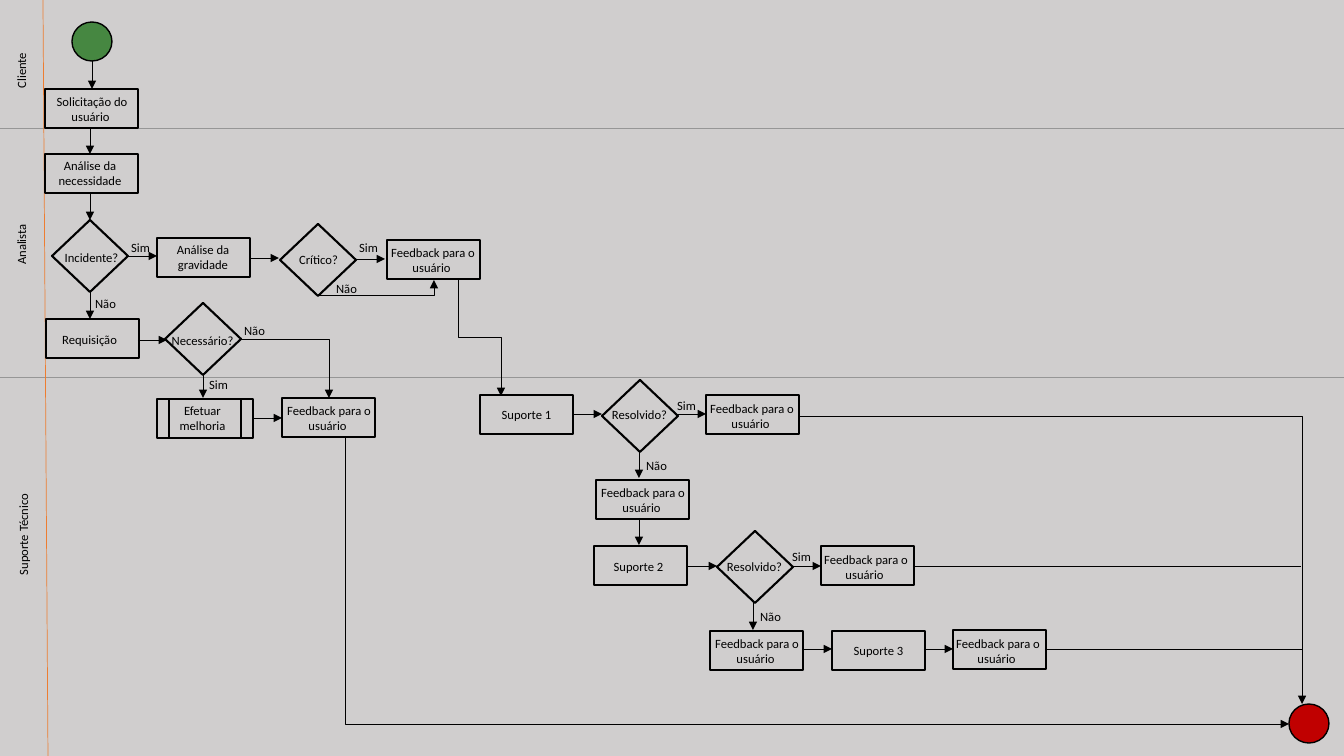
"""Build a support-request flowchart with three swimlanes."""
from lxml.etree import SubElement
from pptx import Presentation
from pptx.dml.color import RGBColor
from pptx.enum.shapes import MSO_CONNECTOR, MSO_SHAPE
from pptx.enum.text import MSO_AUTO_SIZE, PP_ALIGN
from pptx.oxml.ns import qn
from pptx.util import Pt

PIXEL = 9071.43
COLORS = {
    "background": "D0CECE", "ink": "000000", "start": "468741",
    "end": "C00000", "lane": "969696", "margin": "ED7D31",
}
FEEDBACK = "Feedback para o usuário "


def add_text(words, left, top, width=101, height=25, rotation=0):
    box = page.shapes.add_textbox(*[round(n * PIXEL) for n in (left, top, width, height)])
    box.rotation = rotation
    frame = box.text_frame
    frame.word_wrap = True
    frame.auto_size = MSO_AUTO_SIZE.SHAPE_TO_FIT_TEXT
    para = frame.paragraphs[0]
    para.alignment = PP_ALIGN.CENTER
    span = para.add_run()
    span.text = words
    span.font.name = "Calibri"
    span.font.size = Pt(9)
    span.font.color.rgb = RGBColor.from_string(COLORS["ink"])


def add_line(points, weight=0.5, color="ink", arrow=True, kind=MSO_CONNECTOR.STRAIGHT):
    line = page.shapes.add_connector(kind, *[round(n * PIXEL) for n in points])
    line.line.width = Pt(weight)
    line.line.color.rgb = RGBColor.from_string(COLORS[color])
    if arrow:
        SubElement(line.line._get_or_add_ln(), qn("a:tailEnd"), type="triangle")
    SubElement(line.element.spPr, qn("a:effectLst"))
    return line


deck = Presentation()
deck.slide_width = round(1344 * PIXEL)
deck.slide_height = round(756 * PIXEL)
page = deck.slides.add_slide(deck.slide_layouts[6])
page.background.fill.solid()
page.background.fill.fore_color.rgb = RGBColor.from_string(COLORS["background"])

for y in (128, 377):
    add_line((0, y, 1344, y), color="lane", arrow=False)
add_line((43, 0, 48, 756), color="margin", arrow=False)
for lane, left, top in (("Cliente", -34, 58), ("Analista", -34, 232), ("Suporte Técnico", -32, 522)):
    add_text(lane, left, top, 110, rotation=270)

steps = [
    (45, 89), (45, 154), (46, 319), (157, 238), (387, 240), (282, 398), (480, 395),
    (706, 395), (596, 480), (594, 546), (821, 546), (710, 631), (832, 631), (953, 630),
]
decisions = [(52, 220), (280, 224), (165, 303), (602, 380), (717, 531)]
outlines = [
    (MSO_SHAPE.RECTANGLE, steps, 93, 39, None, 1.5),
    (MSO_SHAPE.DIAMOND, decisions, 76, 72, None, 1.5),
    (MSO_SHAPE.FLOWCHART_PREDEFINED_PROCESS, [(157, 399)], 96, 39, None, 1.5),
    (MSO_SHAPE.OVAL, [(72, 22)], 40, 39, "start", 1),
    (MSO_SHAPE.OVAL, [(1289, 704)], 40, 39, "end", 1),
]
for kind, corners, width, height, color, weight in outlines:
    for left, top in corners:
        node = page.shapes.add_shape(kind, *[round(n * PIXEL) for n in (left, top, width, height)])
        node.shadow.inherit = False
        node.line.width = Pt(weight)
        node.line.color.rgb = RGBColor.from_string(COLORS["ink"])
        if color:
            node.fill.solid()
            node.fill.fore_color.rgb = RGBColor.from_string(COLORS[color])
        else:
            node.fill.background()

two_line_texts = {
    "Solicitação do usuário ": [(37, 89)],
    "Análise da necessidade": [(35, 153)],
    "Análise da gravidade": [(148, 237)],
    FEEDBACK: [(378, 240), (274, 398), (697, 396), (588, 480), (811, 547), (702, 631), (943, 631)],
}
for words, corners in two_line_texts.items():
    for left, top in corners:
        add_text(words, left, top, 110, 40)
add_text("Efetuar melhoria", 159, 398, 87, 40)
add_text("Requisição ", 36, 327, 110)

one_line_texts = {
    "Suporte 1": [(476, 402)],
    "Suporte 2": [(588, 554)],
    "Suporte 3": [(828, 638)],
    "Incidente?": [(41, 245)],
    "Crítico?": [(268, 247)],
    "Necessário?": [(152, 328)],
    "Resolvido?": [(589, 402), (704, 554)],
    "Sim": [(90, 235), (318, 235), (168, 372), (636, 393), (751, 544)],
    "Não": [(55, 291), (296, 276), (204, 318), (606, 453), (720, 604)],
}
for words, corners in one_line_texts.items():
    for left, top in corners:
        add_text(words, left, top)

across = [
    (128, 157, 256), (250, 279, 258), (254, 282, 418), (356, 385, 259),
    (573, 602, 414), (677, 706, 414), (687, 717, 566), (792, 821, 566),
    (803, 832, 649), (924, 953, 649), (138, 167, 340),
]
for start, end, y in across:
    add_line((start, y, end, y), 0.25)
down = [
    (92, 61, 89), (90, 128, 154), (90, 194, 220), (90, 292, 319),
    (203, 375, 398), (639, 452, 478), (639, 518, 545), (753, 603, 630),
]
for x, start, end in down:
    add_line((x, start, x, end))
for start, end, y in ((913, 1301, 566), (1045, 1302, 649)):
    add_line((start, y, end, y), arrow=False)

for points in ((239, 339, 329, 398), (317, 295, 434, 280), (799, 416, 1302, 704)):
    corner = add_line(points, kind=MSO_CONNECTOR.ELBOW)
    corner.element.spPr.find(qn("a:prstGeom")).set("prst", "bentConnector2")

to_support = add_line((538, 316, 421, 359), kind=MSO_CONNECTOR.ELBOW)
to_support.element.spPr.find(qn("a:xfrm")).set("rot", "16200000")

to_end = add_line((348, 437, 1289, 724), kind=MSO_CONNECTOR.ELBOW)
geometry = to_end.element.spPr.find(qn("a:prstGeom"))
adjustments = geometry.find(qn("a:avLst"))
if adjustments is None:
    adjustments = SubElement(geometry, qn("a:avLst"))
SubElement(adjustments, qn("a:gd"), name="adj1", fmla="val -300")

deck.save("out.pptx")
